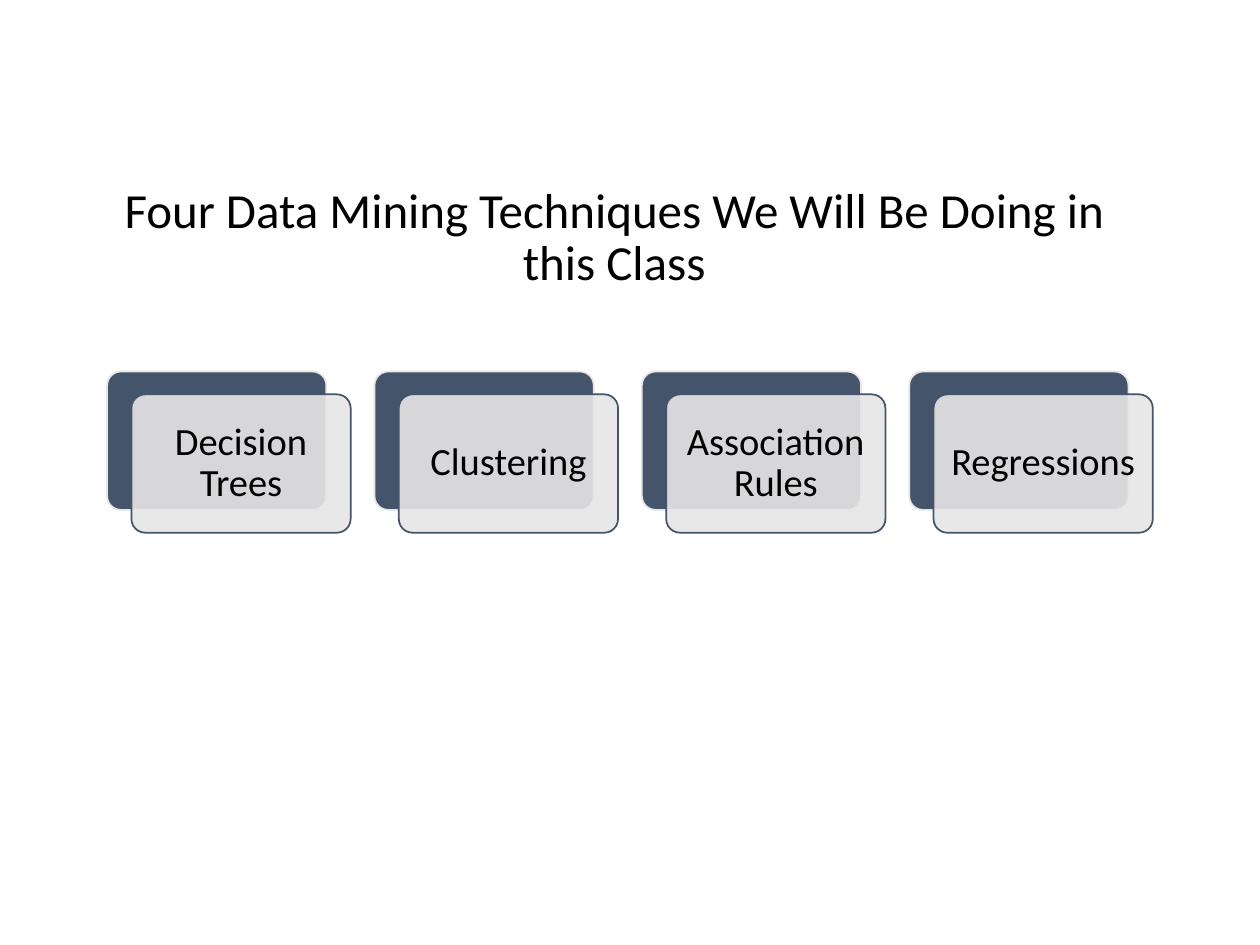
from lxml import etree
from pptx import Presentation
from pptx.dml.color import RGBColor
from pptx.enum.shapes import MSO_SHAPE
from pptx.enum.text import MSO_ANCHOR, MSO_AUTO_SIZE, PP_ALIGN
from pptx.oxml.ns import qn
from pptx.util import Cm, Pt

ROUNDED = MSO_SHAPE.ROUNDED_RECTANGLE
MIDDLE = MSO_ANCHOR.MIDDLE
CENTER = PP_ALIGN.CENTER
NO_AUTOFIT = MSO_AUTO_SIZE.NONE

BLACK = RGBColor(0x00, 0x00, 0x00)
SLATE = RGBColor(0x44, 0x54, 0x6A)
LIGHT_GRAY = RGBColor(0xE7, 0xE6, 0xE6)

FONT = "Calibri"
TITLE = "Four Data Mining Techniques We Will Be Doing in this Class"
TECHNIQUES = ["Decision Trees", "Clustering", "Association Rules", "Regressions"]

CARD_WIDTH, CARD_HEIGHT = Cm(4.42), Cm(2.79)
SHIFT_X, SHIFT_Y = Cm(0.49), Cm(0.46)


def write_text(frame, text, size, color=BLACK, margin=None):
    frame.word_wrap = True
    frame.auto_size = NO_AUTOFIT
    frame.vertical_anchor = MIDDLE
    if margin is not None:
        frame.margin_left = frame.margin_right = margin
        frame.margin_top = frame.margin_bottom = margin
    paragraph = frame.paragraphs[0]
    paragraph.alignment = CENTER
    paragraph.line_spacing = 0.9
    run = paragraph.add_run()
    run.text = text
    run.font.name = FONT
    run.font.size = Pt(size)
    run.font.color.rgb = color


def add_card(group, left, top, fill, line, opacity=100):
    card = group.shapes.add_shape(ROUNDED, left, top, CARD_WIDTH, CARD_HEIGHT)
    card.adjustments[0] = 0.1
    card.shadow.inherit = False
    card.fill.solid()
    card.fill.fore_color.rgb = fill
    card.line.color.rgb = line
    card.line.width = Pt(1)
    if opacity < 100:
        color = card.fill._xPr.find(qn("a:solidFill")).find(qn("a:srgbClr"))
        etree.SubElement(color, qn("a:alpha"), val=str(opacity * 1000))
    return card


def add_title(slide, left, top, width, height):
    title = slide.shapes.title
    title.left, title.top, title.width, title.height = left, top, width, height
    write_text(title.text_frame, TITLE, 28)


def add_techniques(slide, left, top, width):
    group = slide.shapes.add_group_shape()
    # Equal steps: the last front card ends at the right edge of the box
    step = (width - CARD_WIDTH - SHIFT_X) // (len(TECHNIQUES) - 1)
    for index, technique in enumerate(TECHNIQUES):
        card_left = left + index * step
        # Dark back card, then the translucent labelled card in front
        add_card(group, card_left, top, SLATE, LIGHT_GRAY)
        front = add_card(group, card_left + SHIFT_X, top + SHIFT_Y,
                         LIGHT_GRAY, SLATE, opacity=90)
        write_text(front.text_frame, technique, 22, margin=Cm(0.23))


def main():
    presentation = Presentation()
    presentation.slide_width, presentation.slide_height = Cm(25.4), Cm(19.05)
    title_only = presentation.slide_layouts[5]
    slide = presentation.slides.add_slide(title_only)
    add_title(slide, Cm(2.13), Cm(2.97), Cm(20.5), Cm(3.68))
    add_techniques(slide, Cm(2.16), Cm(7.49), Cm(21.08))
    presentation.save("out.pptx")


if __name__ == "__main__":
    main()
